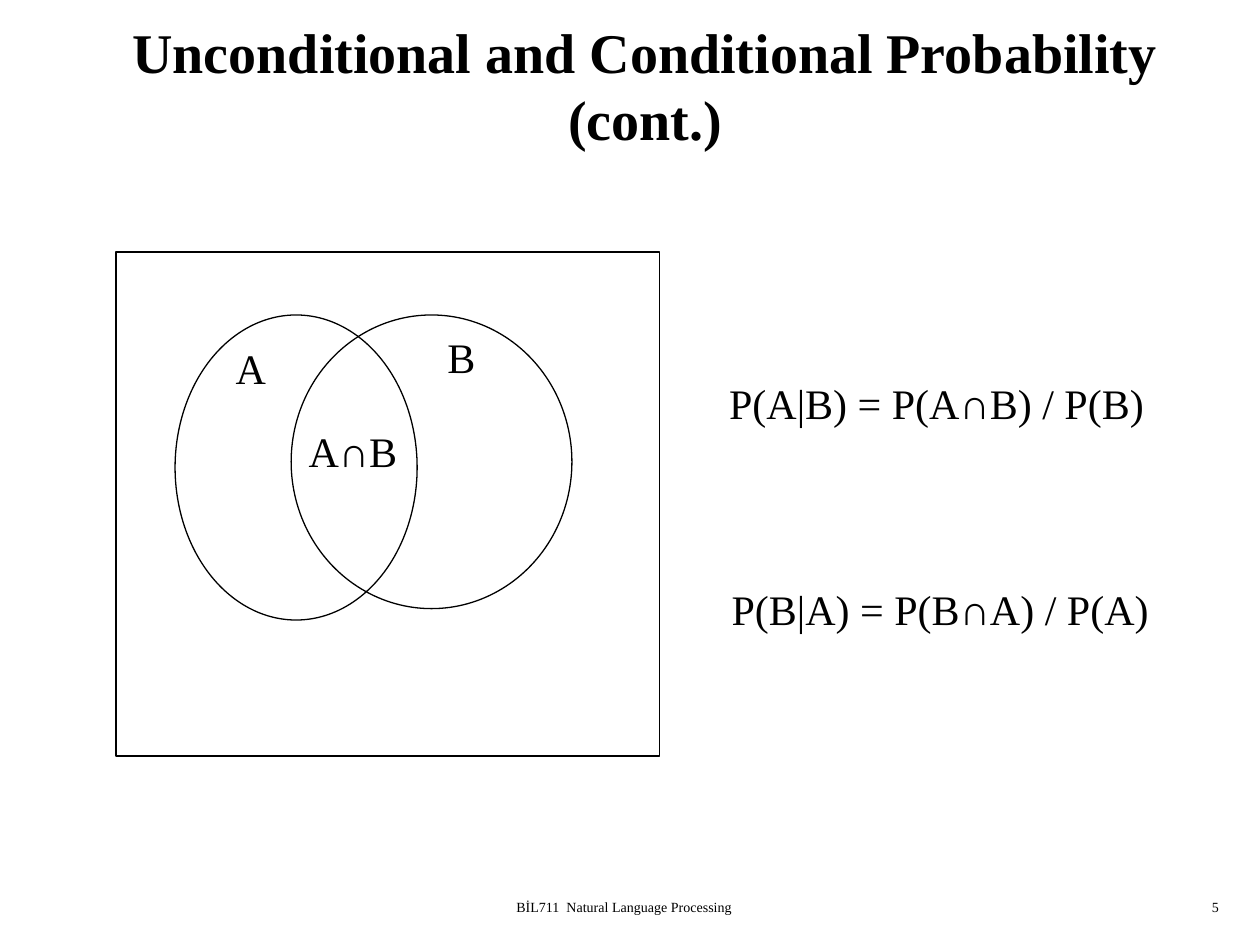
from dataclasses import dataclass
from pptx import Presentation
from pptx.dml.color import RGBColor
from pptx.enum.shapes import MSO_SHAPE
from pptx.enum.text import MSO_ANCHOR, MSO_AUTO_SIZE, PP_ALIGN
from pptx.util import Cm, Pt


@dataclass(frozen=True)
class Theme:
    ink: RGBColor = RGBColor(0, 0, 0)
    font: str = "Times New Roman"
    symbol_font: str = "Arial"
    title: Pt = Pt(32)
    body: Pt = Pt(24)
    footer: Pt = Pt(8)
    outline: Pt = Pt(0.75)


THEME = Theme()
INTERSECTION = "∩"


@dataclass(frozen=True)
class Box:
    left: float
    top: float
    width: float
    height: float

    def inner(self, left, top, width, height):
        return Box(self.left + left, self.top + top, width, height)

    def lengths(self):
        return Cm(self.left), Cm(self.top), Cm(self.width), Cm(self.height)


def add_text(slide, box, text, size, alignment=PP_ALIGN.LEFT, bold=False, wrap=True):
    shape = slide.shapes.add_textbox(*box.lengths())
    frame = shape.text_frame
    frame.word_wrap = wrap
    paragraph = frame.paragraphs[0]
    paragraph.alignment = alignment
    paragraph.font.size = size
    paragraph.font.bold = bold
    paragraph.font.name = THEME.font
    paragraph.font.color.rgb = THEME.ink
    before, symbol, after = text.partition(INTERSECTION)
    for part in filter(None, (before, symbol, after)):
        run = paragraph.add_run()
        run.text = part
        if part == INTERSECTION:
            run.font.name = THEME.symbol_font
    return frame


def add_label(slide, box, text):
    frame = add_text(slide, box, text, THEME.body, wrap=False)
    frame.auto_size = MSO_AUTO_SIZE.SHAPE_TO_FIT_TEXT


def add_outline(slide, kind, box):
    shape = slide.shapes.add_shape(kind, *box.lengths())
    shape.shadow.inherit = False
    shape.fill.background()
    shape.line.color.rgb = THEME.ink
    shape.line.width = THEME.outline


def add_title(slide, box):
    frame = add_text(slide, box, "Unconditional and Conditional Probability (cont.)",
                     THEME.title, PP_ALIGN.CENTER, bold=True)
    frame.vertical_anchor = MSO_ANCHOR.MIDDLE


def add_venn_diagram(slide, box):
    add_outline(slide, MSO_SHAPE.RECTANGLE, box)
    add_outline(slide, MSO_SHAPE.OVAL, box.inner(1.19, 1.27, 4.88, 6.15))
    add_outline(slide, MSO_SHAPE.OVAL, box.inner(3.53, 1.27, 5.66, 5.92))
    for text, left, top, width in (
        ("A", 2.16, 1.7, 1.04),
        ("A∩B", 3.63, 3.38, 2.36),
        ("B", 6.43, 1.47, 1.07),
    ):
        add_label(slide, box.inner(left, top, width, 1.27), text)


def add_formulas(slide, box):
    line_height = 1.27
    add_label(slide, box.inner(0, 0, 8.92, line_height), "P(A|B) = P(A∩B) / P(B)")
    add_label(slide, box.inner(0.05, box.height - line_height, 8.97, line_height),
              "P(B|A) = P(B∩A) / P(A)")


def add_footer(slide, box):
    add_text(slide, box.inner(0, 0, 9.53, box.height),
             "BİL711  Natural Language Processing", THEME.footer, PP_ALIGN.CENTER)
    number_width = 5.28
    add_text(slide, box.inner(box.width - number_width, 0, number_width, box.height),
             "5", THEME.footer, PP_ALIGN.RIGHT)


def main():
    presentation = Presentation()
    presentation.slide_width = Cm(25.4)
    presentation.slide_height = Cm(19.05)
    slide = presentation.slides.add_slide(presentation.slide_layouts[6])
    add_footer(slide, Box(7.82, 17.98, 17, 0.64))
    add_title(slide, Box(0.99, 0.43, 24.03, 2.54))
    add_venn_diagram(slide, Box(2.34, 5.08, 10.95, 10.16))
    add_formulas(slide, Box(14.45, 7.49, 9.02, 5.41))
    presentation.save("out.pptx")


if __name__ == "__main__":
    main()
